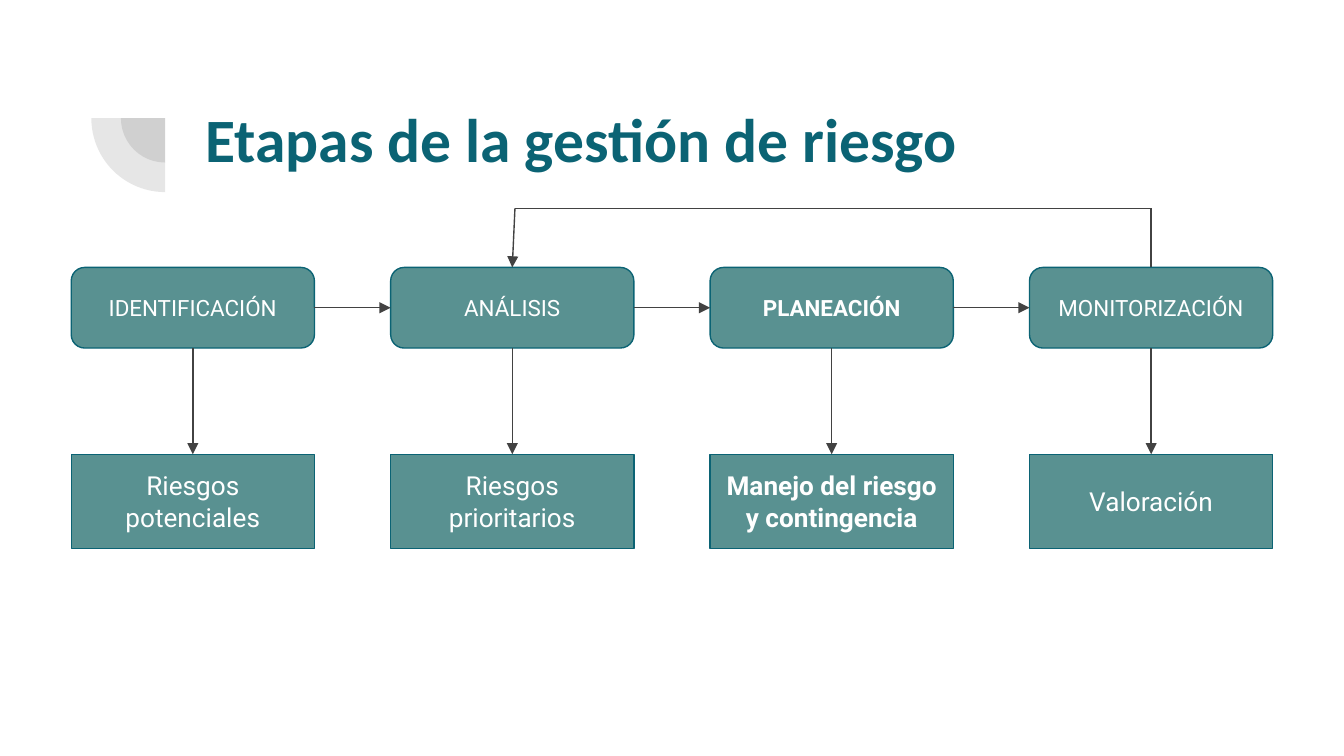
"""Build the slide on the stages of risk management."""
from dataclasses import dataclass

from lxml.etree import SubElement
from pptx import Presentation
from pptx.dml.color import RGBColor
from pptx.enum.shapes import MSO_CONNECTOR as Connector, MSO_SHAPE as Shape
from pptx.enum.text import MSO_ANCHOR as Anchor, MSO_AUTO_SIZE as AutoSize, PP_ALIGN as Align
from pptx.oxml.ns import qn
from pptx.util import Inches, Pt

TEAL = RGBColor(0x0B, 0x63, 0x74)
SAGE = RGBColor(0x59, 0x91, 0x91)
GREY = RGBColor(0x42, 0x42, 0x42)
WHITE = RGBColor(0xFF, 0xFF, 0xFF)

MARGINS = {f"margin_{side}": Inches(0.1) for side in ("left", "top", "right", "bottom")}
FIRST_LEFT, LAST_LEFT, BOX_WIDTH = 0.53, 7.66, 1.81
STAGE_TOP, STAGE_HEIGHT = 1.99, 0.6
RESULT_TOP, RESULT_HEIGHT = 3.38, 0.7
LOOP_TOP = 1.55
ARC_X, ARC_Y = 1.23, 0.88


@dataclass
class Stage:
    name: str
    result: str
    bold: bool = False


STAGES = [
    Stage("IDENTIFICACIÓN", "Riesgos potenciales"),
    Stage("ANÁLISIS", "Riesgos prioritarios"),
    Stage("PLANEACIÓN", "Manejo del riesgo y contingencia", True),
    Stage("MONITORIZACIÓN", "Valoración"),
]


def apply_format(target, values: dict) -> None:
    """Set each named attribute on the target."""
    for name, value in values.items():
        setattr(target, name, value)


def write_text(frame, text: str, align: Align, color: RGBColor, frame_format: dict, font_format: dict) -> None:
    """Fill a text frame with one formatted paragraph."""
    frame.text = text
    apply_format(frame, {"word_wrap": True, **MARGINS, **frame_format})
    para = frame.paragraphs[0]
    para.alignment = align
    span = para.runs[0]
    apply_format(span.font, font_format)
    span.font.color.rgb = color


def add_quarter(slide, radius: float) -> None:
    """Draw a translucent lower-left quarter disc."""
    quarter = slide.shapes.add_shape(Shape.PIE, Inches(ARC_X - radius), Inches(ARC_Y - radius),
                                     Inches(2 * radius), Inches(2 * radius))
    quarter.adjustments[0], quarter.adjustments[1] = 54, 108
    quarter.shadow.inherit = False
    quarter.line.fill.background()
    quarter.fill.solid()
    quarter.fill.fore_color.rgb = GREY
    color = quarter._element.spPr.find(qn("a:solidFill"))[0]
    SubElement(color, qn("a:alpha"), val="13000")


def add_title(slide, text: str) -> None:
    """Place and format the title placeholder."""
    title = slide.shapes.title
    apply_format(title, {"left": Inches(1.43), "top": Inches(0.65),
                         "width": Inches(7.69), "height": Inches(1.09)})
    write_text(title.text_frame, text, Align.LEFT, TEAL,
               {"vertical_anchor": Anchor.TOP, "auto_size": AutoSize.NONE},
               {"name": "Calibri", "size": Pt(33), "bold": True})


def add_box(slide, kind: Shape, left: float, top: float, height: float,
            text: str, size: int, bold: bool) -> None:
    """Draw a filled box with centred text."""
    box = slide.shapes.add_shape(kind, Inches(left), Inches(top), Inches(BOX_WIDTH), Inches(height))
    box.shadow.inherit = False
    box.fill.solid()
    box.fill.fore_color.rgb = SAGE
    box.line.color.rgb = TEAL
    box.line.width = Pt(0.75)
    write_text(box.text_frame, text, Align.CENTER, WHITE, {"vertical_anchor": Anchor.MIDDLE},
               {"name": "Roboto", "size": Pt(size), "bold": bold})


def add_line(slide, start: tuple[float, float], end: tuple[float, float], arrow: bool = True) -> None:
    """Draw a straight line, with an arrowhead at its end if asked."""
    line = slide.shapes.add_connector(Connector.STRAIGHT, *map(Inches, start + end))
    line.line.color.rgb = GREY
    line.line.width = Pt(0.75)
    properties = line._element.spPr
    if arrow:
        SubElement(properties.find(qn("a:ln")), qn("a:tailEnd"), type="triangle")
    SubElement(properties, qn("a:effectLst"))


def main() -> None:
    """Build and save the deck."""
    deck = Presentation()
    width = Inches(10)
    apply_format(deck, {"slide_width": width, "slide_height": width * 9 // 16})
    slide = deck.slides.add_slide(deck.slide_layouts[5])
    for radius in (0.33, 0.55):
        add_quarter(slide, radius)
    add_title(slide, "Etapas de la gestión de riesgo")

    pitch = (LAST_LEFT - FIRST_LEFT) / (len(STAGES) - 1)
    lefts = [FIRST_LEFT + index * pitch for index in range(len(STAGES))]
    centers = [left + BOX_WIDTH / 2 for left in lefts]
    for stage, left, center in zip(STAGES, lefts, centers):
        add_box(slide, Shape.ROUNDED_RECTANGLE, left, STAGE_TOP, STAGE_HEIGHT,
                stage.name, 12, stage.bold)
        add_box(slide, Shape.RECTANGLE, left, RESULT_TOP, RESULT_HEIGHT,
                stage.result, 14, stage.bold)
        add_line(slide, (center, STAGE_TOP + STAGE_HEIGHT), (center, RESULT_TOP))

    middle = STAGE_TOP + STAGE_HEIGHT / 2
    for left, following in zip(lefts, lefts[1:]):
        add_line(slide, (left + BOX_WIDTH, middle), (following, middle))

    analysis, monitoring = centers[1], centers[3]
    corner = analysis + 0.02
    add_line(slide, (monitoring, STAGE_TOP), (monitoring, LOOP_TOP), arrow=False)
    add_line(slide, (monitoring, LOOP_TOP), (corner, LOOP_TOP), arrow=False)
    add_line(slide, (corner, LOOP_TOP), (analysis, STAGE_TOP))
    deck.save("out.pptx")


if __name__ == "__main__":
    main()
